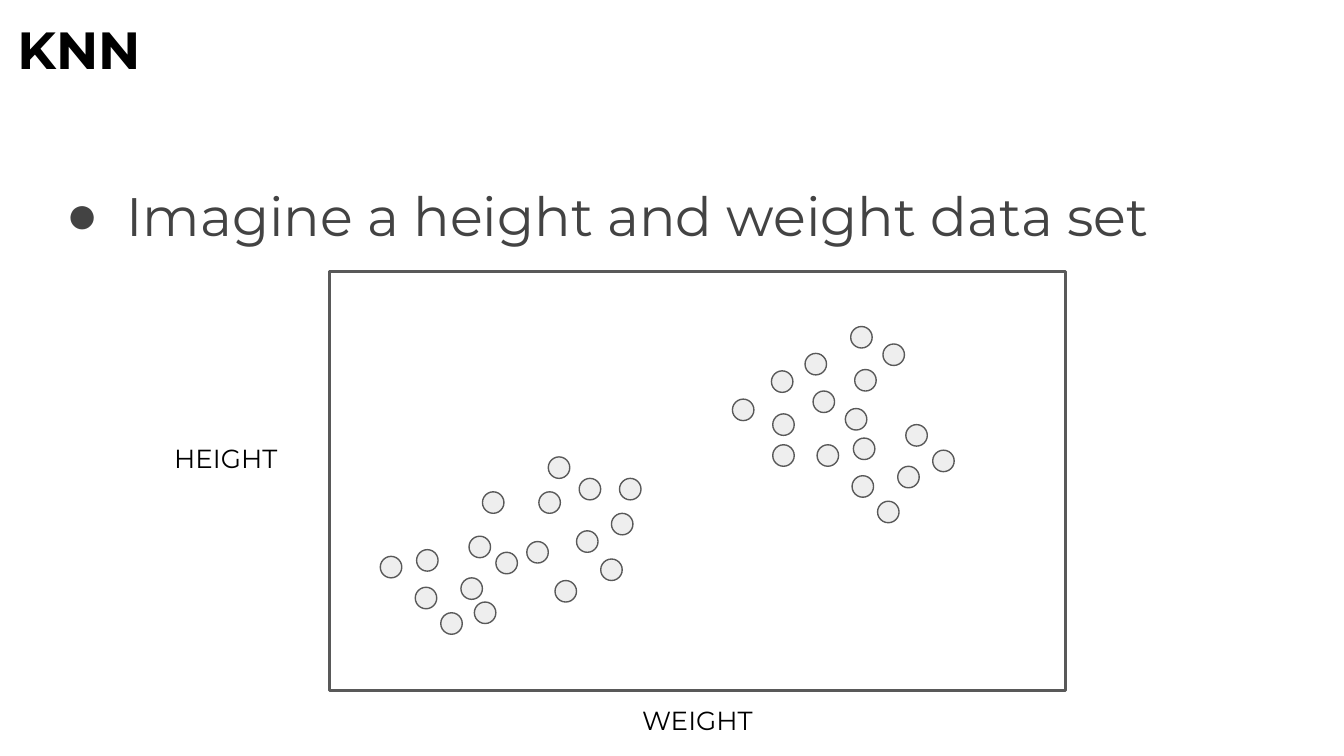
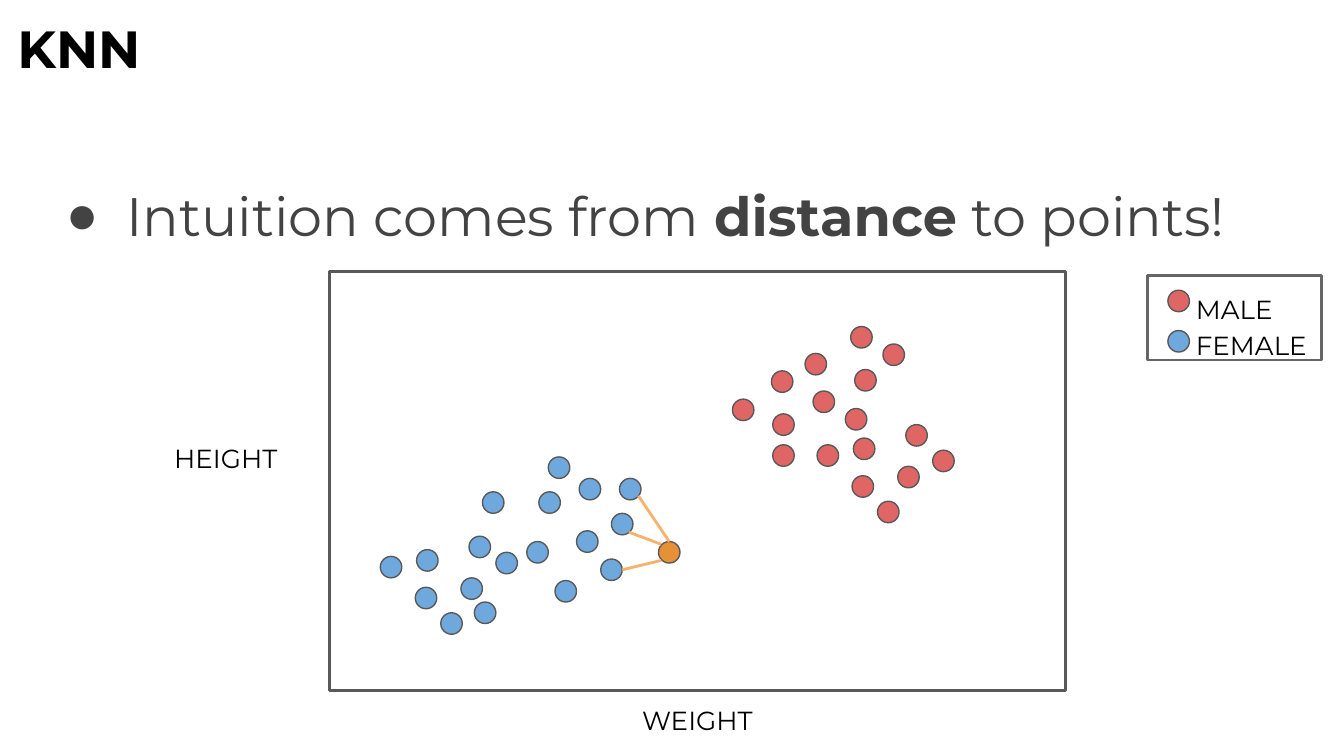
"""Build two slides that introduce K nearest neighbours with a height and weight plot."""
from typing import NamedTuple

from lxml.etree import SubElement
from pptx import Presentation
from pptx.dml.color import RGBColor
from pptx.enum.shapes import MSO_CONNECTOR, MSO_SHAPE
from pptx.enum.text import MSO_ANCHOR, MSO_AUTO_SIZE, PP_ALIGN
from pptx.oxml.ns import qn
from pptx.util import Inches, Pt

FONT = "Montserrat"
COLORS = {
    "black": "000000",
    "body": "434343",
    "outline": "595959",
    "legend_outline": "666666",
    "unlabelled": "EEEEEE",
    "male": "E06666",
    "female": "6FA8DC",
    "new_point": "E69138",
    "distance": "F6B26B",
}
POINT_SIZE = 0.16


class Box(NamedTuple):
    """Left, top, width and height in inches."""
    left: float
    top: float
    width: float
    height: float

    def lengths(self):
        """Return the four values as lengths."""
        return [Inches(value) for value in self]


class Run(NamedTuple):
    """A stretch of text with its weight."""
    text: str
    bold: bool = False


class AxisLabel(NamedTuple):
    """The name of an axis and its place."""
    text: str
    box: Box


class Distance(NamedTuple):
    """A line from the new point to a neighbour, in inches."""
    start_x: float
    start_y: float
    end_x: float
    end_y: float


PLOT = Box(2.45, 2.02, 5.48, 3.12)
LEGEND = Box(8.54, 2.05, 1.29, 0.63)
AXIS_LABELS = [
    AxisLabel("WEIGHT", Box(4.46, 5.14, 1.46, 0.25)),
    AxisLabel("HEIGHT", Box(0.95, 3.19, 1.46, 0.25)),
]
CLUSTERS = {
    "female": [
        (3.53, 4.48), (3.92, 4.03), (4.01, 3.66), (4.13, 4.32), (3.59, 3.66),
        (3.69, 4.11), (4.29, 3.95), (4.61, 3.56), (4.55, 3.82), (4.47, 4.16),
        (4.31, 3.56), (4.08, 3.4), (3.49, 3.99), (3.1, 4.09), (3.28, 4.56),
        (3.09, 4.37), (2.83, 4.14), (3.43, 4.3),
    ],
    "male": [
        (5.45, 2.97), (5.75, 3.31), (5.75, 3.08), (6.33, 2.43), (5.99, 2.63),
        (6.29, 3.04), (6.05, 2.91), (5.74, 2.76), (6.36, 2.75), (6.57, 2.56),
        (6.74, 3.16), (6.35, 3.26), (6.53, 3.73), (6.34, 3.54), (6.08, 3.31),
        (6.68, 3.47), (6.94, 3.35),
    ],
}
DISTANCES = [
    Distance(4.98, 4.03, 4.75, 3.69),
    Distance(4.92, 4.05, 4.68, 3.96),
    Distance(4.92, 4.17, 4.63, 4.24),
]


def write_text(shape, lines: list[list[Run]], *, size: float, color: str = "black",
               align=PP_ALIGN.LEFT, line_spacing: float = 1.0, margin: float = 0,
               indent: float = 0, bullet: str = "") -> None:
    """Fill a shape with formatted paragraphs, one for each line."""
    frame = shape.text_frame
    frame.word_wrap = True
    frame.auto_size = MSO_AUTO_SIZE.NONE
    frame.vertical_anchor = MSO_ANCHOR.TOP
    frame.margin_left = frame.margin_right = Inches(0.1)
    frame.margin_top = frame.margin_bottom = Inches(0.1)
    for index, line in enumerate(lines):
        paragraph = frame.add_paragraph() if index else frame.paragraphs[0]
        paragraph.alignment = align
        paragraph.line_spacing = line_spacing
        paragraph.space_before = paragraph.space_after = Pt(0)
        for part in line:
            run = paragraph.add_run()
            run.text = part.text
            run.font.name = FONT
            run.font.size = Pt(size)
            run.font.bold = part.bold
            run.font.color.rgb = RGBColor.from_string(COLORS[color])
        properties = paragraph._p.get_or_add_pPr()
        properties.set("marL", str(Inches(margin)))
        properties.set("indent", str(Inches(indent)))
        if bullet:
            bullet_color = SubElement(properties, qn("a:buClr"))
            SubElement(bullet_color, qn("a:srgbClr"), val=COLORS[color])
            SubElement(properties, qn("a:buChar"), char=bullet)


def place(shape, box: Box) -> None:
    """Move and size a placeholder."""
    shape.left, shape.top, shape.width, shape.height = box.lengths()


def add_outlined(slide, kind, box: Box, *, fill: str = "", line: str = "outline",
                 width: float = 1.5):
    """Add an outlined preset shape, hollow unless a fill is named."""
    shape = slide.shapes.add_shape(kind, *box.lengths())
    shape.shadow.inherit = False
    if fill:
        shape.fill.solid()
        shape.fill.fore_color.rgb = RGBColor.from_string(COLORS[fill])
    else:
        shape.fill.background()
    shape.line.color.rgb = RGBColor.from_string(COLORS[line])
    shape.line.width = Pt(width)
    return shape


def add_point(slide, left: float, top: float, fill: str) -> None:
    """Add one data point."""
    box = Box(left, top, POINT_SIZE, POINT_SIZE)
    add_outlined(slide, MSO_SHAPE.OVAL, box, fill=fill, width=0.75)


def add_distance(slide, distance: Distance) -> None:
    """Add the line to a neighbour."""
    connector = slide.shapes.add_connector(
        MSO_CONNECTOR.STRAIGHT, *[Inches(value) for value in distance])
    connector.line.color.rgb = RGBColor.from_string(COLORS["distance"])
    connector.line.width = Pt(1.5)
    SubElement(connector._element.spPr, qn("a:effectLst"))


def add_plot_slide(presentation, statement: list[Run], *, title_top: float,
                   body_width: float, labelled: bool):
    """Add a slide with title, statement and the scatter of both clusters."""
    slide = presentation.slides.add_slide(presentation.slide_layouts[1])
    title, body = slide.shapes.title, slide.placeholders[1]
    place(title, Box(0.03, title_top, 8.52, 0.63))
    write_text(title, [[Run("KNN", True)]], size=28)
    place(body, Box(0.34, 1.26, body_width, 1.09))
    write_text(body, [statement], size=29, color="body", margin=0.5, indent=-0.45,
               bullet="●")
    add_outlined(slide, MSO_SHAPE.RECTANGLE, PLOT)
    for label in AXIS_LABELS:
        text_box = slide.shapes.add_textbox(*label.box.lengths())
        write_text(text_box, [[Run(label.text)]], size=14, align=PP_ALIGN.CENTER)
    for group, points in CLUSTERS.items():
        for left, top in points:
            add_point(slide, left, top, group if labelled else "unlabelled")
    return slide


def add_legend(slide) -> None:
    """Add the legend of the two groups."""
    legend = add_outlined(slide, MSO_SHAPE.RECTANGLE, LEGEND, line="legend_outline")
    groups = ["male", "female"]
    write_text(legend, [[Run(group.upper())] for group in groups], size=14,
               line_spacing=1.15, margin=0.26)
    for index, group in enumerate(groups):
        add_point(slide, 8.69, 2.16 + 0.3 * index, group)


def main() -> None:
    """Build and save the presentation."""
    presentation = Presentation()
    presentation.slide_width = Inches(10)
    presentation.slide_height = Inches(10) * 9 // 16
    add_plot_slide(presentation, [Run("Imagine a height and weight data set")],
                   title_top=0.03, body_width=9.5, labelled=False)
    statement = [Run("Intuition comes from "), Run("distance", True), Run(" to points!")]
    slide = add_plot_slide(presentation, statement, title_top=0.02, body_width=9.66,
                           labelled=True)
    add_legend(slide)
    add_point(slide, 4.9, 4.03, "new_point")
    for distance in DISTANCES:
        add_distance(slide, distance)
    presentation.save("out.pptx")


if __name__ == "__main__":
    main()
